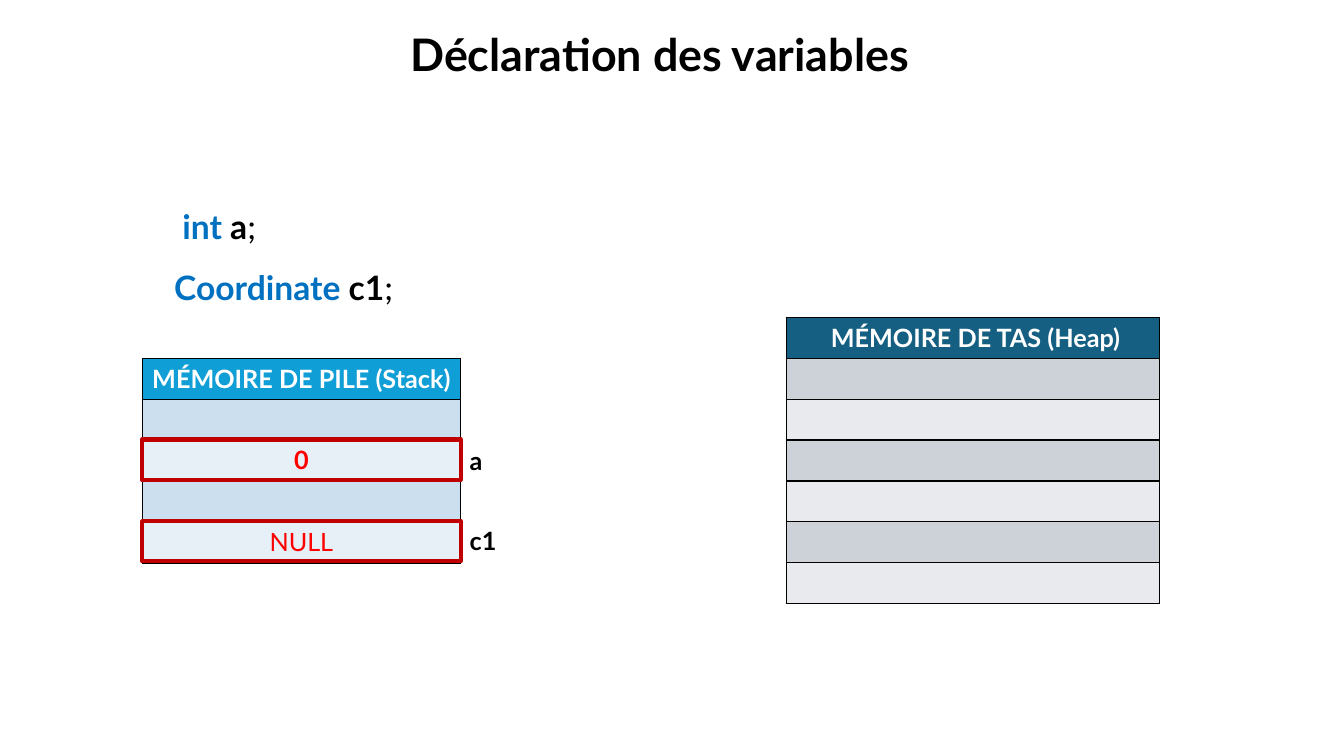
from lxml import etree
from pptx import Presentation
from pptx.dml.color import RGBColor
from pptx.enum.shapes import MSO_SHAPE
from pptx.enum.text import MSO_ANCHOR, MSO_AUTO_SIZE, PP_ALIGN
from pptx.oxml.ns import qn
from pptx.util import Inches, Pt

RECT = MSO_SHAPE.RECTANGLE
MIDDLE = MSO_ANCHOR.MIDDLE
GROW = MSO_AUTO_SIZE.SHAPE_TO_FIT_TEXT
LEFT, CENTER = PP_ALIGN.LEFT, PP_ALIGN.CENTER
ROW = 0.405
BLACK, BLUE, RED, WHITE = "000000", "0070C0", "FF0000", "FFFFFF"


def color(text):
    return RGBColor.from_string(text)


def write(para, runs, size=18, align=LEFT):
    """Add runs given as (text, colour, bold) to a paragraph."""
    para.alignment = align
    for text, tint, bold in runs:
        run = para.add_run()
        run.text = text
        style = {"name": "Lato", "size": Pt(size), "bold": bold}
        for name, value in style.items():
            setattr(run.font, name, value)
        run.font.color.rgb = color(tint)


deck = Presentation()
deck.slide_width, deck.slide_height = Inches(13.33), Inches(7.5)
slide = deck.slides.add_slide(deck.slide_layouts[6])
shapes = slide.shapes

# Memory tables: title, left, top, width, rows, alignment, head and band fills
tables = [
    ("MÉMOIRE DE PILE (Stack)", 1.41, 3.56, 3.16, 5, LEFT,
     "0F9ED5", ("CCDFEF", "E7F0F7")),
    ("MÉMOIRE DE TAS (Heap)", 7.8, 3.15, 3.7, 7, CENTER,
     "156082", ("CCD2D8", "E8EAED")),
]
for title, left, top, width, count, align, head, bands in tables:
    frame = shapes.add_table(count, 1, Inches(left), Inches(top),
                             Inches(width), Inches(ROW * count))
    table = frame.table
    table.horz_banding = False
    for i in range(count):
        table.rows[i].height = Inches(ROW)
        cell = table.cell(i, 0)
        # Borders come before the fill in the cell properties
        props = cell._tc.get_or_add_tcPr()
        for side in ("a:lnL", "a:lnR", "a:lnT", "a:lnB"):
            line = etree.SubElement(props, qn(side), w=str(Pt(1)))
            fill = etree.SubElement(line, qn("a:solidFill"))
            etree.SubElement(fill, qn("a:srgbClr"), val=BLACK)
        cell.fill.solid()
        cell.fill.fore_color.rgb = color(bands[(i - 1) % 2] if i else head)
    cell = table.cell(0, 0)
    cell.margin_right = Inches(0.05)
    write(cell.text_frame.paragraphs[0], [(title, WHITE, True)], align=align)

# Red frames around the stack rows in use
for top, value, bold in [(4.36, "0", True), (5.17, "NULL", False)]:
    box = shapes.add_shape(RECT, Inches(1.41), Inches(top),
                           Inches(3.16), Inches(0.4))
    box.shadow.inherit = False
    box.fill.background()
    box.line.color.rgb = color("C00000")
    box.line.width = Pt(3)
    box.text_frame.vertical_anchor = MIDDLE
    write(box.text_frame.paragraphs[0], [(value, RED, bold)], align=CENTER)

# Labels, code and title: left, top, width, height, size, wrap, runs
texts = [
    (4.56, 4.37, 0.34, 0.4, 18, False, [("a", BLACK, True)]),
    (4.56, 5.16, 0.48, 0.4, 18, False, [("c1", BLACK, True)]),
    (1.71, 1.99, 6.67, 0.5, 24, True,
     [("int ", BLUE, True), ("a", BLACK, True), (";", BLACK, False)]),
    (1.63, 2.6, 6.67, 0.5, 24, True,
     [("Coordinate ", BLUE, True), ("c1", BLACK, True), (";", BLACK, False)]),
    (3.97, 0.22, 5.39, 0.64, 32, False,
     [("Déclaration des variables", BLACK, True)]),
]
for left, top, width, height, size, wrap, runs in texts:
    box = shapes.add_textbox(Inches(left), Inches(top),
                             Inches(width), Inches(height))
    box.text_frame.word_wrap = wrap
    box.text_frame.auto_size = GROW
    write(box.text_frame.paragraphs[0], runs, size)

deck.save("out.pptx")
